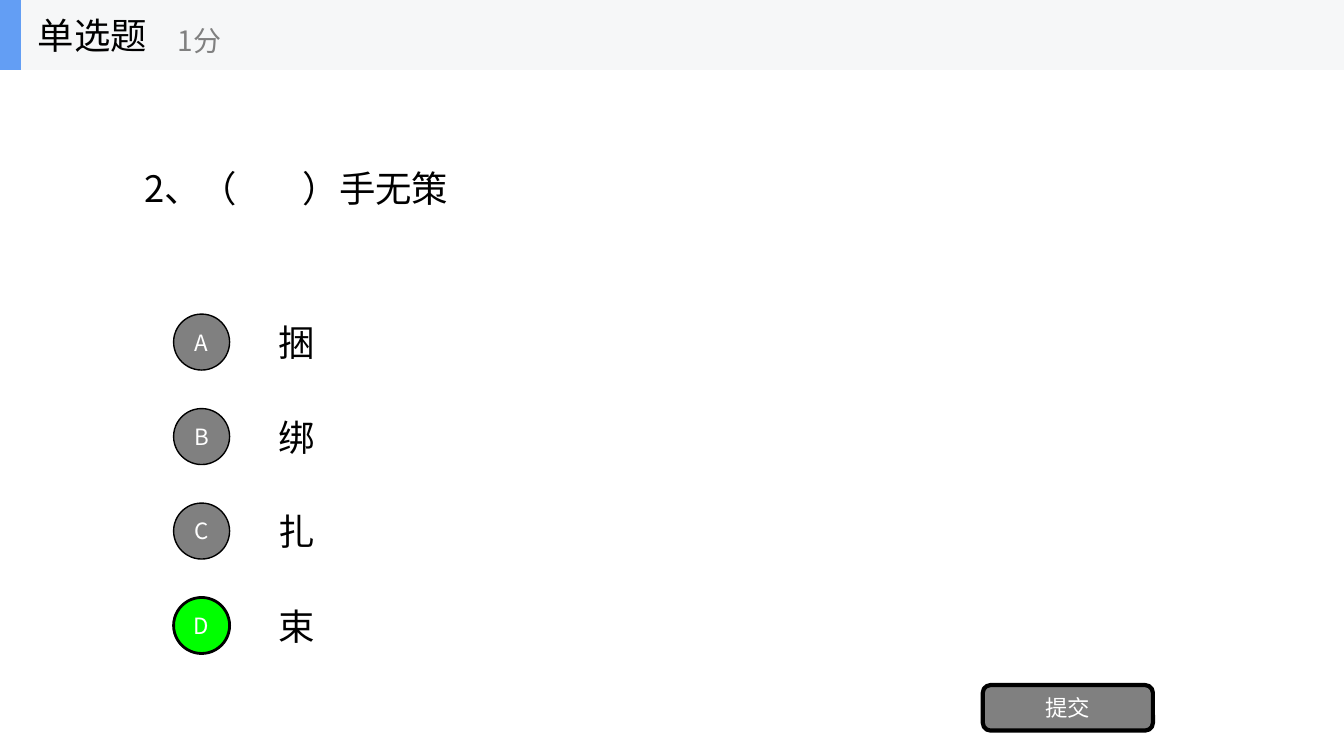
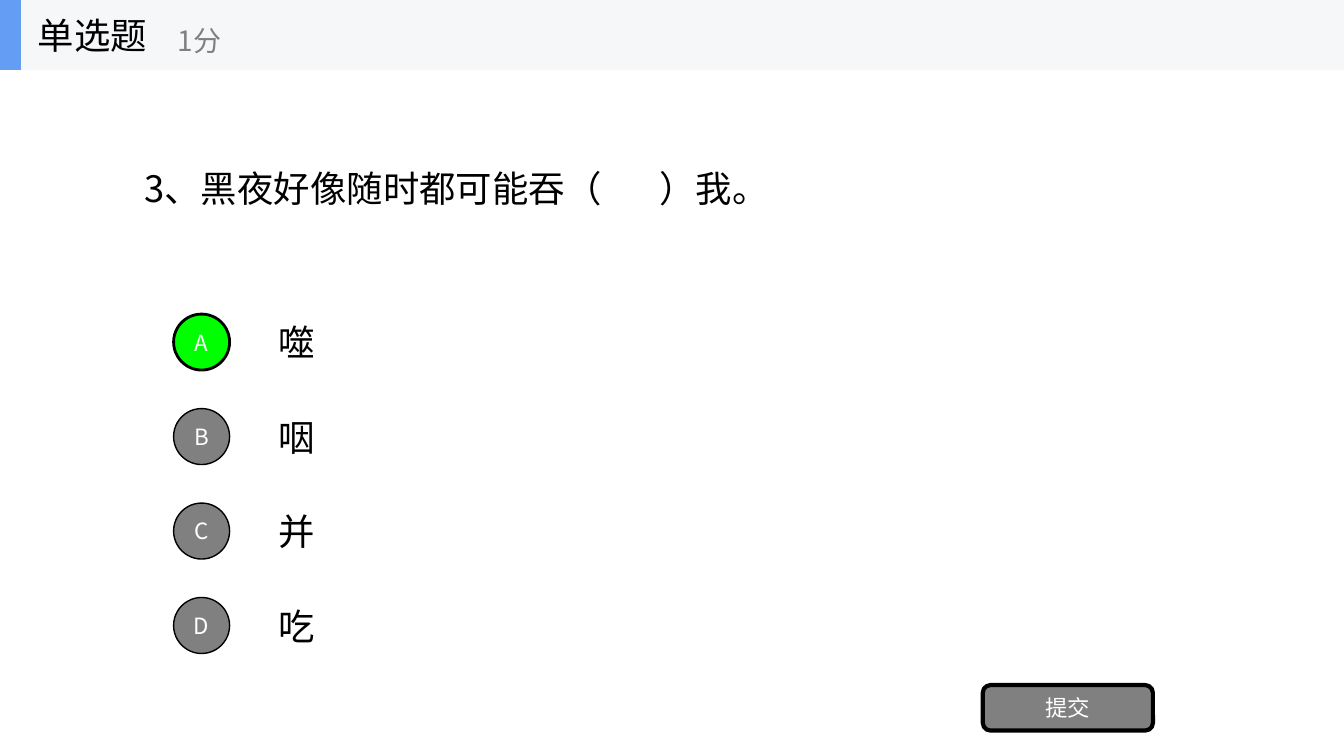
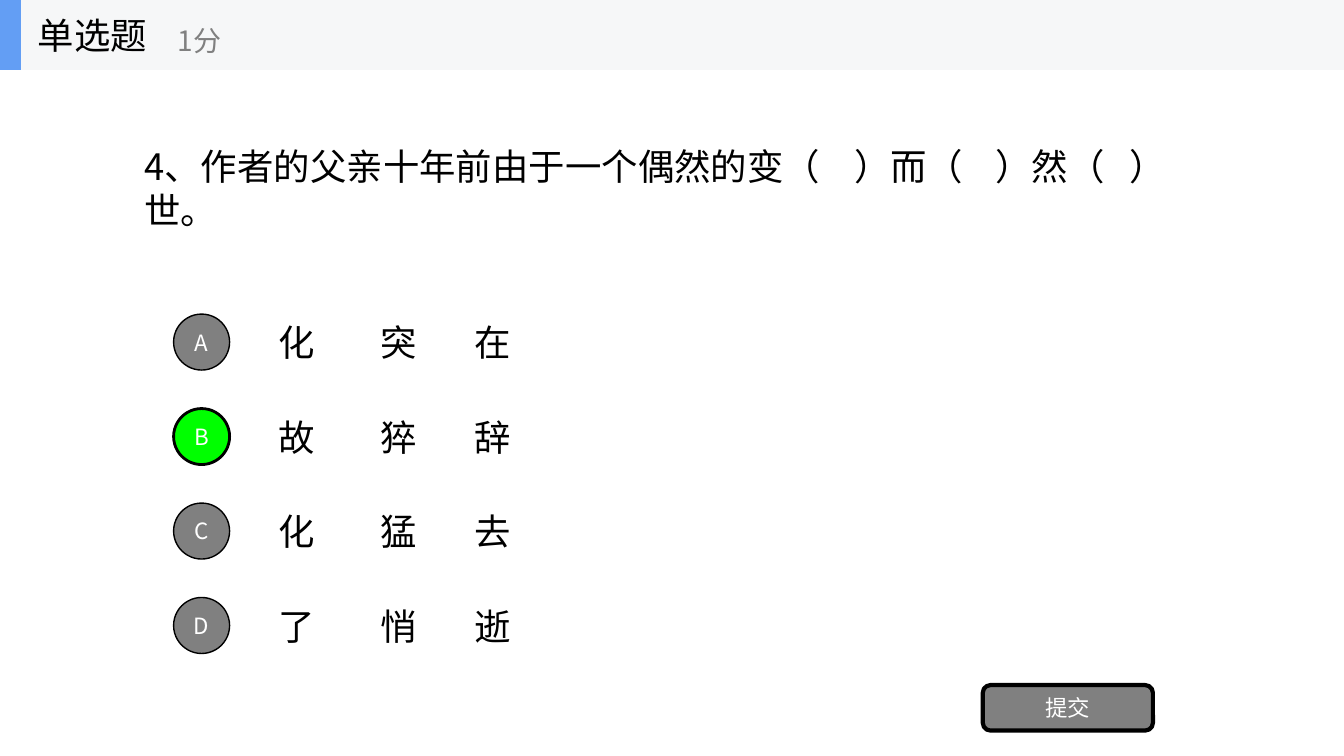
from lxml.etree import SubElement
from pptx import Presentation
from pptx.dml.color import RGBColor
from pptx.enum.shapes import MSO_SHAPE
from pptx.enum.text import MSO_ANCHOR, PP_ALIGN
from pptx.oxml.ns import qn
from pptx.util import Inches, Pt

WIDTH, HEIGHT = Inches(13.33), Inches(7.5)
CELL = WIDTH / 96
FONT = "Noto Sans CJK SC"
BLACK = RGBColor(0x00, 0x00, 0x00)
WHITE = RGBColor(0xFF, 0xFF, 0xFF)
GRAY = RGBColor(0x80, 0x80, 0x80)
GREEN = RGBColor(0x00, 0xFF, 0x00)
BLUE = RGBColor(0x63, 0x9E, 0xF4)
PALE = RGBColor(0xF6, 0xF7, 0xF8)

BAND_ROWS = 5
OPTION_CENTER, OPTION_PITCH = 24.44, 6.75
OPTION_ROWS, BADGE_ROWS = 5, 4
OPTION_TABS = (1.01, 1.94)

QUESTIONS = [
    ("2、（\t）手无策", (1.57,), ["捆", "绑", "扎", "束"], "D"),
    ("3、黑夜好像随时都可能吞（\t）我。", (5.11,), ["噬", "咽", "并", "吃"], "A"),
    ("4、作者的父亲十年前由于一个偶然的变（\t）而（\t）然（\t）世。", (7.04, 8.44, 9.77),
     ["化\t突\t在", "故\t猝\t辞", "化\t猛\t去", "了\t悄\t逝"], "B"),
]


def write_text(frame, text, *, size=26, color=BLACK, align=PP_ALIGN.LEFT, inset=0.1, tabs=()):
    frame.word_wrap = True
    frame.vertical_anchor = MSO_ANCHOR.MIDDLE
    frame.margin_left = frame.margin_right = Inches(inset)
    paragraph = frame.paragraphs[0]
    paragraph.alignment = align
    if tabs:
        stops = SubElement(paragraph._p.get_or_add_pPr(), qn("a:tabLst"))
        for position in tabs:
            SubElement(stops, qn("a:tab"), pos=str(Inches(position)), algn="l")
    run = paragraph.add_run()
    run.text = text
    run.font.size = Pt(size)
    run.font.name = FONT
    run.font.color.rgb = color
    SubElement(run.font._element, qn("a:ea"), typeface=FONT)


class QuizDeck:
    """Builds single-choice slides on a grid of 96 by 54 square cells."""

    def __init__(self):
        self.deck = Presentation()
        self.deck.slide_width, self.deck.slide_height = WIDTH, HEIGHT
        self.slide = None

    def new_slide(self):
        self.slide = self.deck.slides.add_slide(self.deck.slide_layouts[6])

    def place(self, *cells):
        return [round(cell * CELL) for cell in cells]

    def label(self, cells, text, **style):
        box = self.slide.shapes.add_textbox(*self.place(*cells))
        write_text(box.text_frame, text, **style)

    def panel(self, kind, cells, fill, border=0, text=""):
        shape = self.slide.shapes.add_shape(kind, *self.place(*cells))
        shape.shadow.inherit = False
        shape.fill.solid()
        shape.fill.fore_color.rgb = fill
        if border:
            shape.line.color.rgb = BLACK
            shape.line.width = Pt(border)
        else:
            shape.line.fill.background()
        if text:
            write_text(shape.text_frame, text, size=16, color=WHITE,
                       align=PP_ALIGN.CENTER, inset=0)

    def header(self):
        self.panel(MSO_SHAPE.RECTANGLE, (0, 0, 96, BAND_ROWS), PALE)
        self.panel(MSO_SHAPE.RECTANGLE, (0, 0, 1.5, BAND_ROWS), BLUE)
        self.label((2, 0, 15, BAND_ROWS), "单选题")
        self.label((12, 0.9, 18, 4), "1分", size=20, color=GRAY)

    def option(self, index, letter, text, correct):
        center = OPTION_CENTER + index * OPTION_PITCH
        self.label((19.2, center - OPTION_ROWS / 2, 67.2, OPTION_ROWS), text,
                   tabs=OPTION_TABS if "\t" in text else ())
        self.panel(MSO_SHAPE.OVAL, (12.4, center - BADGE_ROWS / 2, BADGE_ROWS, BADGE_ROWS),
                   GREEN if correct else GRAY, border=2 if correct else 1, text=letter)

    def question(self, prompt, blanks, options, answer):
        self.new_slide()
        self.label((9.6, BAND_ROWS, 76.8, 16.85), prompt, tabs=blanks)
        for index, (letter, text) in enumerate(zip("ABCD", options)):
            self.option(index, letter, text, letter == answer)
        self.panel(MSO_SHAPE.ROUNDED_RECTANGLE, (70.2, 48.95, 12.15, 3.25), GRAY,
                   border=3, text="提交")
        self.header()


def main():
    quiz = QuizDeck()
    for question in QUESTIONS:
        quiz.question(*question)
    quiz.deck.save("out.pptx")


if __name__ == "__main__":
    main()
